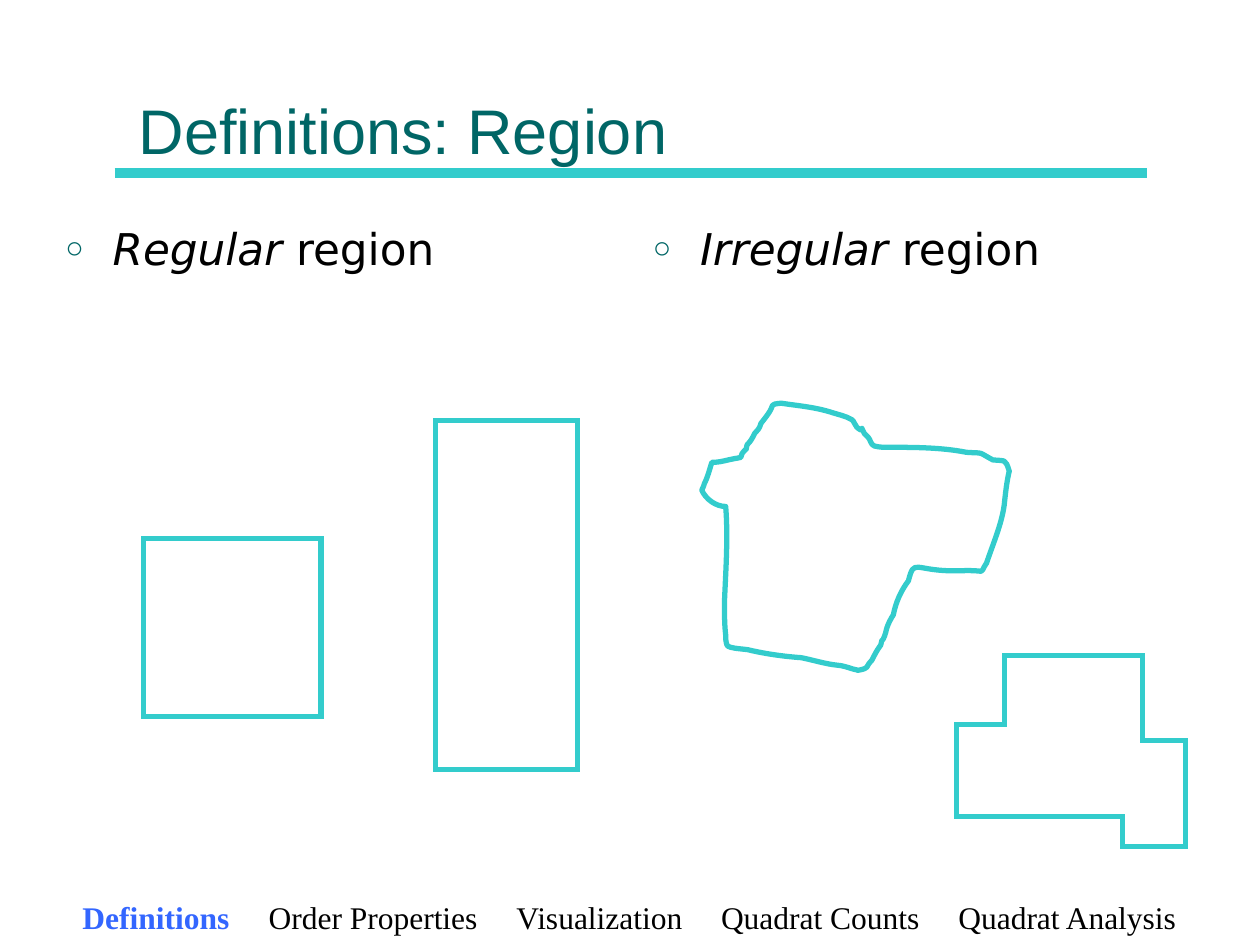
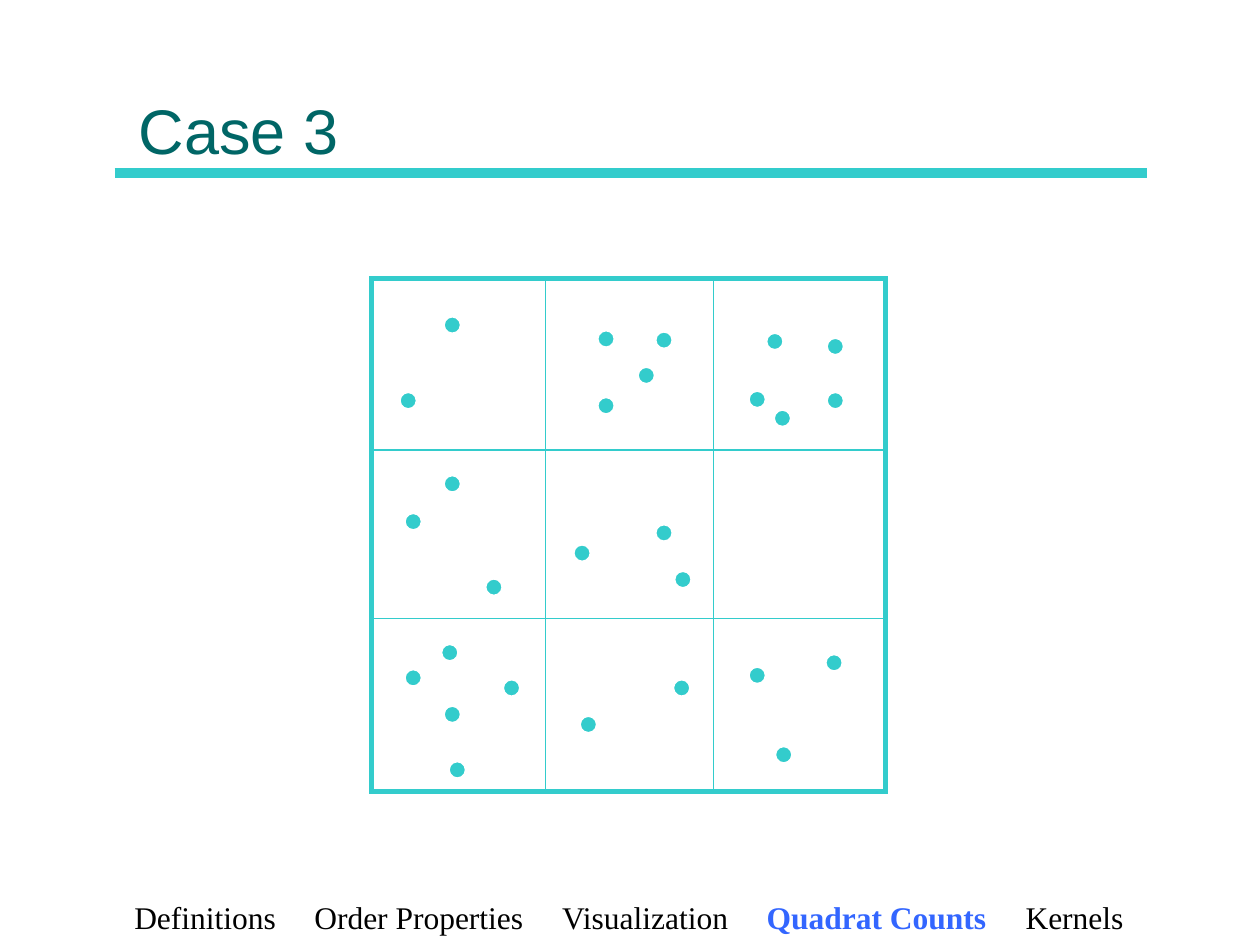
from lxml import etree
from pptx import Presentation
from pptx import util as u
from pptx.dml import color as colors
from pptx.enum import shapes, text
from pptx.oxml import ns

TEAL, DARK_TEAL, BLUE, BLACK, WHITE = "33CCCC", "006666", "3366FF", "000000", "FFFFFF"
HUNDREDTH_INCH = 0.72

TITLE_FONT = {"name": "Arial", "size": u.Pt(36), "color": DARK_TEAL}
BODY_FONT = {"name": "DejaVu Sans", "size": u.Pt(25), "color": BLACK}
FOOTER_FONT = {"name": "Times New Roman", "size": u.Pt(18), "color": BLACK, "bold": False}
CURRENT_FONT = {**FOOTER_FONT, "color": BLUE, "bold": True}

SECTION_WIDTHS = {
    "Definitions": (80.5, 84),
    "Order Properties": (119.2, 130),
    "Visualization": (94.5, 101),
    "Quadrat Counts": (113.2, 125.5),
    "Quadrat Analysis": (124, 135),
    "Kernels": (56, 60),
}
FOOTER = {"left": 28.4, "top": 509.8, "width": 662, "height": 30, "gap": 22.4}

REGION = {
    "title": "Definitions: Region",
    "sections": ["Definitions", "Order Properties", "Visualization", "Quadrat Counts", "Quadrat Analysis"],
    "current": "Definitions",
    "bodies": [("Regular", 30.2), ("Irregular", 365.8)],
    "rectangles": [(82, 307.8, 101.5, 101.5), (249, 240.5, 81, 199.3)],
}
COUNTS = {
    "title": "Case 3",
    "sections": ["Definitions", "Order Properties", "Visualization", "Quadrat Counts", "Kernels"],
    "current": "Quadrat Counts",
    "grid": (212.4, 159, 293.6, 293.2),
    "columns": [311.6, 407.7],
    "rows": [257.2, 353.4],
}

BLOCK_CORNERS = [
    (759, 575), (797, 575), (797, 520), (907, 520), (907, 588),
    (941, 588), (941, 672), (891, 672), (891, 648), (759, 648),
]
COAST_START = (576, 402)
COAST_CURVES = [
    (578, 427, 576, 453, 575, 478), (575, 487, 575, 496, 576, 504),
    (576, 507, 576, 509, 577, 512), (578, 515, 593, 515, 595, 516),
    (608, 519, 622, 521, 636, 522), (646, 524, 655, 527, 665, 528),
    (668, 528, 674, 530, 677, 531), (678, 531, 681, 532, 681, 532),
    (691, 530, 686, 530, 692, 524), (694, 520, 696, 516, 699, 512),
    (701, 504, 699, 512, 702, 505), (703, 503, 703, 501, 704, 498),
    (705, 495, 707, 491, 709, 488), (711, 478, 715, 469, 721, 461),
    (726, 442, 725, 454, 762, 453), (786, 452, 776, 457, 783, 447),
    (788, 432, 795, 416, 797, 401), (798, 392, 799, 382, 801, 374),
    (798, 364, 798, 366, 788, 365), (775, 358, 782, 360, 767, 359),
    (747, 355, 725, 355, 705, 355), (701, 355, 698, 355, 694, 354),
    (691, 353, 691, 349, 689, 347), (688, 346, 687, 345, 686, 344),
    (681, 334, 688, 346, 680, 339), (678, 337, 678, 334, 676, 333),
    (671, 330, 665, 329, 659, 327), (646, 323, 633, 322, 620, 320),
    (610, 321, 615, 321, 610, 328), (608, 331, 604, 336, 604, 336),
    (603, 340, 601, 342, 599, 344), (597, 348, 596, 350, 593, 353),
    (591, 361, 594, 353, 589, 360), (588, 361, 589, 362, 588, 363),
    (587, 364, 585, 363, 583, 364), (577, 365, 572, 367, 565, 367),
    (563, 373, 562, 378, 559, 384), (559, 385, 557, 389, 557, 389),
    (560, 396, 568, 402, 576, 402),
]
EVENT_SIZE = 14
EVENTS = [
    (534, 539), (535, 453), (520, 263), (352, 377), (594, 310), (474, 315), (350, 511),
    (321, 531), (455, 432), (474, 262), (317, 311), (506, 291), (608, 264), (655, 519),
    (594, 529), (520, 416), (614, 325), (656, 268), (385, 459), (321, 407), (615, 592),
    (356, 604), (352, 251), (352, 560), (399, 539), (460, 568), (656, 311),
]


def rgb(value):
    return colors.RGBColor.from_string(value)


def points(*values):
    return [u.Pt(value) for value in values]


def from_hundredths(*values):
    return points(*(value * HUNDREDTH_INCH for value in values))


def set_font(font, values):
    for name, value in values.items():
        if name == "color":
            font.color.rgb = rgb(value)
        else:
            setattr(font, name, value)


def set_attributes(target, values):
    for name, value in values.items():
        setattr(target, name, value)


def add_element(parent, tag, **attributes):
    return etree.SubElement(parent, ns.qn(tag), attributes)


def set_line(shape, color, width, join="a:miter"):
    shape.line.color.rgb = rgb(color)
    shape.line.width = u.Pt(width)
    limit = {"lim": "800000"} if join == "a:miter" else {}
    add_element(shape.line._get_or_add_ln(), join, **limit)


def add_line(slide, ends, width, cap="flat"):
    line = slide.shapes.add_connector(shapes.MSO_CONNECTOR.STRAIGHT, *ends)
    set_line(line, TEAL, width)
    line.line._get_or_add_ln().set("cap", cap)
    add_element(line._element.spPr, "a:effectLst")


def add_rectangle(slide, box):
    rectangle = slide.shapes.add_shape(shapes.MSO_SHAPE.RECTANGLE, *points(*box))
    rectangle.shadow.inherit = False
    rectangle.fill.background()
    set_line(rectangle, TEAL, 3)


def add_coast(slide):
    builder = slide.shapes.build_freeform(*from_hundredths(*COAST_START), scale=1.0)
    builder.add_line_segments([from_hundredths(*curve[4:]) for curve in COAST_CURVES], close=True)
    coast = builder.convert_to_shape()
    coast.shadow.inherit = False
    coast.fill.background()
    set_line(coast, TEAL, 3, "a:round")
    segments = list(coast._element.iter(ns.qn("a:lnTo")))
    for segment, curve in zip(segments, COAST_CURVES):
        bezier = etree.Element(ns.qn("a:cubicBezTo"))
        for x, y in zip(from_hundredths(*curve[::2]), from_hundredths(*curve[1::2])):
            add_element(bezier, "a:pt", x=str(x - coast.left), y=str(y - coast.top))
        segment.getparent().replace(segment, bezier)


def add_block(slide):
    for start, end in zip(BLOCK_CORNERS, BLOCK_CORNERS[1:] + BLOCK_CORNERS[:1]):
        add_line(slide, from_hundredths(*start, *end), 3, "sq")


def place(shape, left, top, width, height):
    set_attributes(shape, dict(zip(("left", "top", "width", "height"), points(left, top, width, height))))


def add_footer(slide, sections, current):
    widths = [SECTION_WIDTHS[section][section == current] for section in sections]
    gap = FOOTER["gap"]
    indent = (FOOTER["width"] - sum(widths) - gap * (len(widths) - 1)) / 2
    box = slide.shapes.add_textbox(*points(*(FOOTER[key] for key in ("left", "top", "width", "height"))))
    frame = box.text_frame
    set_attributes(frame, {"word_wrap": True, "margin_left": u.Pt(indent), "margin_right": 0})
    paragraph = frame.paragraphs[0]
    paragraph.alignment = text.PP_ALIGN.LEFT
    tabs = add_element(paragraph._p.get_or_add_pPr(), "a:tabLst")
    position = 0
    for width in widths[:-1]:
        position += width + gap
        add_element(tabs, "a:tab", pos=str(u.Pt(position)), algn="l")
    for index, section in enumerate(sections):
        run = paragraph.add_run()
        run.text = f"\t{section}" if index else section
        set_font(run.font, CURRENT_FONT if section == current else FOOTER_FONT)


def add_slide(presentation, layout_index, content):
    slide = presentation.slides.add_slide(presentation.slide_layouts[layout_index])
    add_line(slide, points(65.5, 98.8, 655.2, 98.8), 6)
    title = slide.shapes.title
    place(title, 72, 9.1, 576, 90)
    title.text_frame.text = content["title"]
    set_attributes(title.text_frame, {
        "vertical_anchor": text.MSO_ANCHOR.BOTTOM,
        "auto_size": text.MSO_AUTO_SIZE.NONE,
    })
    paragraph = title.text_frame.paragraphs[0]
    paragraph.alignment = text.PP_ALIGN.LEFT
    set_font(paragraph.runs[0].font, TITLE_FONT)
    add_footer(slide, content["sections"], content["current"])
    return slide


def fill_body(body, kind, left):
    place(body, left, 123.1, 321.8, 324)
    set_attributes(body.text_frame, {"auto_size": text.MSO_AUTO_SIZE.NONE, "margin_top": u.Pt(3.6)})
    paragraph = body.text_frame.paragraphs[0]
    paragraph.space_before = u.Pt(0)
    properties = paragraph._p.get_or_add_pPr()
    properties.set("marL", str(u.Pt(27)))
    properties.set("indent", str(u.Pt(-27)))
    add_element(add_element(properties, "a:buClr"), "a:srgbClr", val=DARK_TEAL)
    add_element(properties, "a:buSzPct", val="70000")
    add_element(properties, "a:buFont", typeface="Arial")
    add_element(properties, "a:buChar", char="○")
    for words, italic in ((kind, True), (" region", False)):
        run = paragraph.add_run()
        run.text = words
        set_font(run.font, {**BODY_FONT, "italic": italic})


def build_region(presentation):
    slide = add_slide(presentation, 3, REGION)
    for body, (kind, left) in zip(list(slide.placeholders)[1:], REGION["bodies"]):
        fill_body(body, kind, left)
    for box in REGION["rectangles"]:
        add_rectangle(slide, box)
    add_coast(slide)
    add_block(slide)


def build_counts(presentation):
    slide = add_slide(presentation, 5, COUNTS)
    left, top, width, height = COUNTS["grid"]
    add_rectangle(slide, COUNTS["grid"])
    for x in COUNTS["columns"]:
        add_line(slide, points(x, top, x, top + height), 0.75)
    for y in COUNTS["rows"]:
        add_line(slide, points(left, y, left + width, y), 0.75)
    for x, y in EVENTS:
        event = slide.shapes.add_shape(
            shapes.MSO_SHAPE.OVAL, *from_hundredths(x, y, EVENT_SIZE, EVENT_SIZE))
        event.shadow.inherit = False
        event.fill.solid()
        event.fill.fore_color.rgb = rgb(TEAL)
        set_line(event, WHITE, 1.5)


def main():
    presentation = Presentation()
    presentation.slide_width, presentation.slide_height = points(720, 540)
    build_region(presentation)
    build_counts(presentation)
    presentation.save("out.pptx")


if __name__ == "__main__":
    main()
